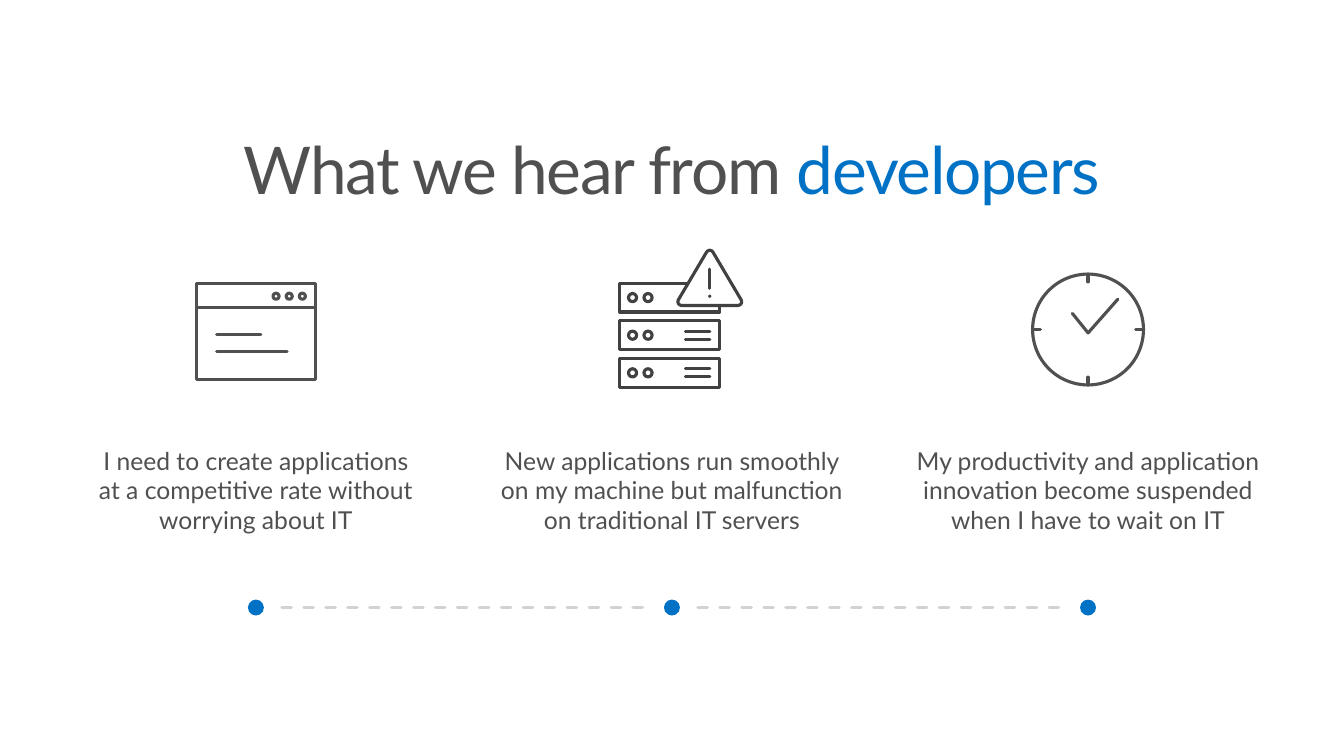
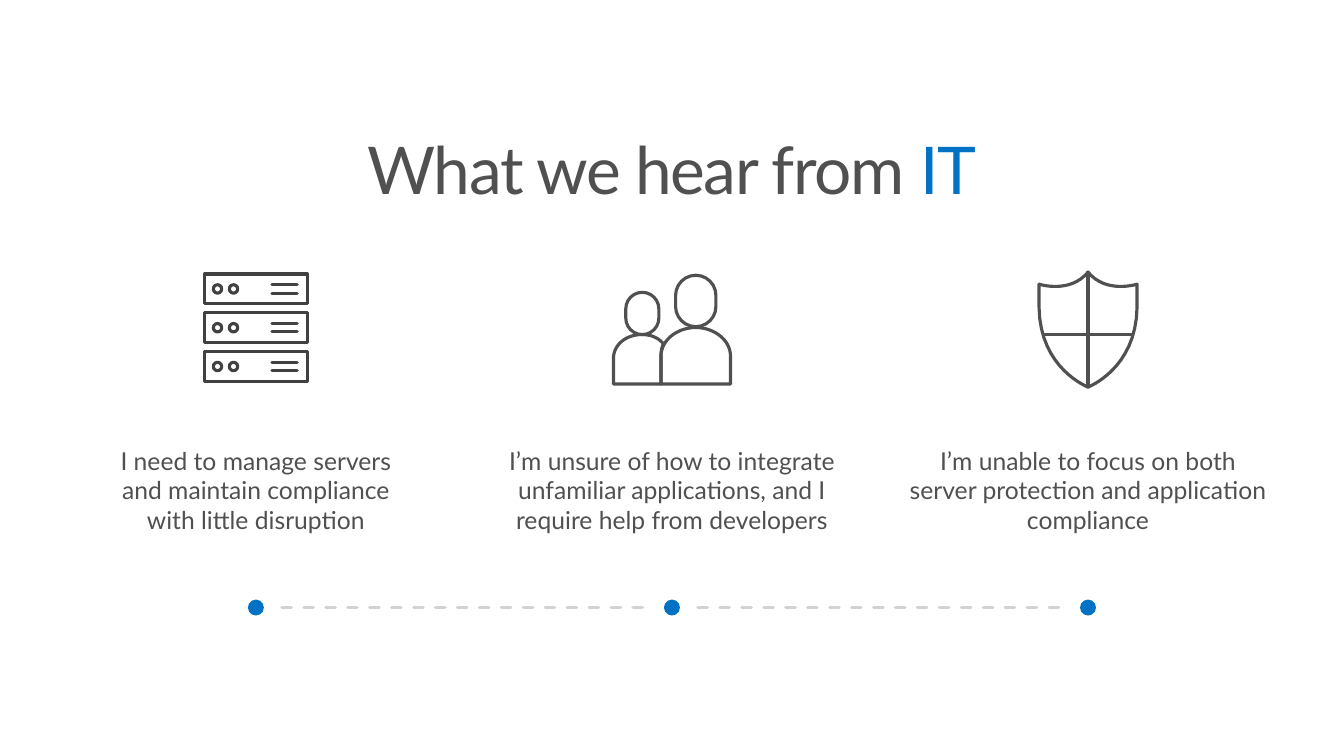
from dataclasses import dataclass
from math import cos, pi, sin
from typing import Callable, Optional

from pptx import Presentation
from pptx.dml.color import RGBColor
from pptx.enum.dml import MSO_LINE
from pptx.enum.shapes import MSO_CONNECTOR, MSO_SHAPE
from pptx.enum.text import PP_ALIGN
from pptx.oxml.ns import qn
from pptx.oxml.xmlchemy import OxmlElement
from pptx.presentation import Presentation as Deck
from pptx.shapes.shapetree import GroupShapes
from pptx.slide import Slide
from pptx.text.text import TextFrame
from pptx.util import Pt

Point = tuple[float, float]
Step = tuple[Point, ...]  # one point: straight line; three points: Bézier curve
Icon = Callable[[GroupShapes, float], None]


@dataclass(frozen=True)
class Theme:
    font: str = "Lato"
    title_size: float = 47
    body_size: float = 17.6
    pen: float = 2.25
    text: RGBColor = RGBColor(0x50, 0x50, 0x50)
    server: RGBColor = RGBColor(0x41, 0x41, 0x42)
    accent: RGBColor = RGBColor(0x00, 0x72, 0xC6)
    dash: RGBColor = RGBColor(0xD2, 0xD2, 0xD2)
    white: RGBColor = RGBColor(0xFF, 0xFF, 0xFF)


@dataclass(frozen=True)
class Column:
    icon: Icon
    text: str
    width: float = 280


@dataclass(frozen=True)
class Voices:
    audience: str
    columns: tuple[Column, ...]


THEME = Theme()
WIDTH, HEIGHT = 960, 540
COLUMN_PITCH = 297.2
TIMELINE_Y = 434


def column_centre(index: int) -> float:
    return WIDTH / 2 + (index - 1) * COLUMN_PITCH


def ink(shape, color: RGBColor) -> None:
    """Give a shape or connector a round-ended pen stroke."""
    shape.line.color.rgb = color
    shape.line.width = Pt(THEME.pen)
    ln = shape.element.spPr.find(qn("a:ln"))
    ln.set("cap", "rnd")
    ln.append(OxmlElement("a:round"))


def paint(shape, line: Optional[RGBColor], fill: Optional[RGBColor]) -> None:
    if fill is None:
        shape.fill.background()
    else:
        shape.fill.solid()
        shape.fill.fore_color.rgb = fill
    if line is None:
        shape.line.fill.background()
    else:
        ink(shape, line)
    shape.shadow.inherit = False


def add_preset(g: GroupShapes, kind: MSO_SHAPE, x: float, y: float, w: float, h: float,
               line: Optional[RGBColor] = THEME.text, fill: Optional[RGBColor] = None):
    shape = g.add_shape(kind, Pt(x), Pt(y), Pt(w), Pt(h))
    paint(shape, line, fill)
    return shape


def add_circle(g: GroupShapes, cx: float, cy: float, d: float,
               line: Optional[RGBColor] = THEME.text, fill: Optional[RGBColor] = None) -> None:
    add_preset(g, MSO_SHAPE.OVAL, cx - d / 2, cy - d / 2, d, d, line, fill)


def add_line(g: GroupShapes, x1: float, y1: float, x2: float, y2: float,
             color: RGBColor = THEME.text, dashed: bool = False) -> None:
    c = g.add_connector(MSO_CONNECTOR.STRAIGHT, Pt(x1), Pt(y1), Pt(x2), Pt(y2))
    if dashed:
        c.line.dash_style = MSO_LINE.DASH
    ink(c, color)
    c.element.spPr.append(OxmlElement("a:effectLst"))


def curve_points(a: Point, b: Point, c: Point, d: Point, count: int = 16) -> list[Point]:
    points = []
    for i in range(1, count + 1):
        t = i / count
        u = 1 - t
        weights = (u ** 3, 3 * u * u * t, 3 * u * t * t, t ** 3)
        x, y = (sum(k * p[axis] for k, p in zip(weights, (a, b, c, d))) for axis in (0, 1))
        points.append((x, y))
    return points


def add_outline(g: GroupShapes, cx: float, start: Point, steps: list[Step], close: bool = True,
                line: RGBColor = THEME.text, fill: Optional[RGBColor] = None) -> None:
    """Draw a path whose x values are measured from cx."""
    points = [start]
    for step in steps:
        points += step if len(step) == 1 else curve_points(points[-1], *step)
    first, *rest = [(Pt(cx + x), Pt(y)) for x, y in points]
    builder = g.build_freeform(*first)
    builder.add_line_segments(rest, close=close)
    paint(builder.convert_to_shape(), line, fill)


def draw_window(g: GroupShapes, cx: float) -> None:
    add_preset(g, MSO_SHAPE.RECTANGLE, cx - 42.5, 202.4, 85, 69)
    add_line(g, cx - 42.5, 219.6, cx + 42.5, 219.6)
    for i in range(3):
        add_circle(g, cx + 14.4 + 9.4 * i, 211.6, 4.3)
    for right, y in ((3.6, 239), (22.3, 251.2)):
        add_line(g, cx - 28, y, cx + right, y)


def draw_servers(g: GroupShapes, cx: float, top: float = 195.8, scale: float = 1) -> None:
    for i in range(3):
        y = top + 27.7 * scale * i
        middle = y + 10.6 * scale
        add_preset(g, MSO_SHAPE.RECTANGLE, cx - 36.7 * scale, y, 73.4 * scale, 21.2 * scale,
                   THEME.server)
        for x in (-27.4, -16):
            add_circle(g, cx + x * scale, middle, 6 * scale, THEME.server)
        for dy in (-3, 3):
            line_y = middle + dy * scale
            add_line(g, cx + 11.5 * scale, line_y, cx + 29.5 * scale, line_y, THEME.server)


def draw_failing_servers(g: GroupShapes, cx: float) -> None:
    draw_servers(g, cx - 1.6, 202.3, 0.97)
    alert_x = cx + 27
    add_outline(g, alert_x, (2.2, 180), [
        ((22.2, 213.8),),
        ((23.6, 216), (22.2, 218.2), (19.8, 218.2)),
        ((-19.8, 218.2),),
        ((-22.2, 218.2), (-23.6, 216), (-22.2, 213.8)),
        ((-2.2, 180),),
        ((-1, 178.4), (1, 178.4), (2.2, 180)),
    ], line=THEME.server, fill=THEME.white)
    add_line(g, alert_x, 192.2, alert_x, 206, THEME.server)
    add_circle(g, alert_x, 211.6, 2.25, None, THEME.server)


def draw_clock(g: GroupShapes, cx: float) -> None:
    cy, radius, tick = 235.4, 39.6, 5.6
    add_circle(g, cx, cy, 2 * radius)
    add_outline(g, cx, (21.2, 213.8), [((0, 237.8),), ((-11.2, 223.9),)], close=False)
    for quarter in range(4):
        dx, dy = cos(quarter * pi / 2), sin(quarter * pi / 2)
        inner = radius - tick
        add_line(g, cx + radius * dx, cy + radius * dy, cx + inner * dx, cy + inner * dy)


def draw_people(g: GroupShapes, cx: float) -> None:
    for x, y, w, h in ((-33, 208.8, 23.6, 30.2), (2.6, 196.6, 28.8, 36.7)):
        head = add_preset(g, MSO_SHAPE.ROUNDED_RECTANGLE, cx + x, y, w, h)
        head.adjustments[0] = 0.5
    add_outline(g, cx, (17, 234), [
        ((3.3, 234), (-7.8, 243.4), (-7.8, 254.2)),
        ((-7.8, 274.3),),
        ((41.8, 274.3),),
        ((41.8, 254.2),),
        ((41.8, 243.4), (30.7, 234), (17, 234)),
    ])
    add_outline(g, cx, (-7.8, 253.4), [
        ((-7.8, 250.6), (-7, 247.7), (-6.2, 245.5)),
        ((-9.8, 241.2), (-14.9, 239), (-21.4, 239)),
        ((-32.9, 239), (-41.8, 246.2), (-41.8, 256.3)),
        ((-41.8, 274.3),),
        ((-7.8, 274.3),),
    ])


def draw_shield(g: GroupShapes, cx: float) -> None:
    top, bottom = 194.4, 276.5
    add_outline(g, cx, (0, top), [
        ((13, 210.2), (35, 203), (35, 203)),
        ((35, 219.6),),
        ((34.4, 263.5), (0, bottom), (0, bottom)),
        ((0, bottom), (-34.4, 263.5), (-35, 219.6)),
        ((-35, 203),),
        ((-35, 203), (-13, 210.2), (0, top)),
    ])
    add_line(g, cx, top, cx, bottom)
    add_line(g, cx - 31, 239, cx + 31, 239)


def add_text_frame(s: Slide, cx: float, y: float, w: float, h: float,
                   inset_x: float, inset_y: float) -> TextFrame:
    tf = s.shapes.add_textbox(Pt(cx - w / 2), Pt(y), Pt(w), Pt(h)).text_frame
    tf.word_wrap = True
    tf.margin_left = tf.margin_right = Pt(inset_x)
    tf.margin_top = tf.margin_bottom = Pt(inset_y)
    p = tf.paragraphs[0]
    p.alignment = PP_ALIGN.CENTER
    p.font.name = THEME.font
    return tf


def add_title(s: Slide, audience: str) -> None:
    p = add_text_frame(s, WIDTH / 2, 91.4, 918, 70.6, 11.5, 7.2).paragraphs[0]
    p.line_spacing = 0.9
    p.font.size = Pt(THEME.title_size)
    for text, color in (("What we hear from ", THEME.text), (audience, THEME.accent)):
        r = p.add_run()
        r.text = text
        r.font.color.rgb = color
        r.font.element.set("spc", "-100") if hasattr(r.font, "element") else r._r.get_or_add_rPr().set("spc", "-100")


def add_body(s: Slide, cx: float, column: Column) -> None:
    p = add_text_frame(s, cx, 306.7, column.width, 87, 11.5, 11.5).paragraphs[0]
    p.add_run().text = column.text
    p.font.size = Pt(THEME.body_size)
    p.font.color.rgb = THEME.text


def add_timeline(s: Slide, count: int) -> None:
    g = s.shapes.add_group_shape().shapes
    gap = 18.6
    for i in range(count):
        cx = column_centre(i)
        add_circle(g, cx, TIMELINE_Y, 11.4, None, THEME.accent)
        if i < count - 1:
            add_line(g, cx + gap, TIMELINE_Y, column_centre(i + 1) - gap, TIMELINE_Y,
                     THEME.dash, dashed=True)


def add_voices_slide(prs: Deck, voices: Voices) -> None:
    s = prs.slides.add_slide(prs.slide_layouts[6])
    add_title(s, voices.audience)
    for i, column in enumerate(voices.columns):
        cx = column_centre(i)
        column.icon(s.shapes.add_group_shape().shapes, cx)
        add_body(s, cx, column)
    add_timeline(s, len(voices.columns))


SLIDES = (
    Voices("developers", (
        Column(draw_window, "I need to create applications at a competitive rate "
                            "without worrying about IT", 249),
        Column(draw_failing_servers, "New applications run smoothly on my machine "
                                     "but malfunction on traditional IT servers"),
        Column(draw_clock, "My productivity and application innovation become suspended "
                           "when I have to wait on IT"),
    )),
    Voices("IT", (
        Column(draw_servers, "I need to manage servers and maintain compliance "
                             "with little disruption", 249),
        Column(draw_people, "I’m unsure of how to integrate unfamiliar applications, "
                            "and I require help from developers"),
        Column(draw_shield, "I’m unable to focus on both server protection "
                            "and application compliance"),
    )),
)


def main() -> None:
    prs = Presentation()
    prs.slide_width, prs.slide_height = Pt(WIDTH), Pt(HEIGHT)
    for voices in SLIDES:
        add_voices_slide(prs, voices)
    prs.save("out.pptx")


if __name__ == "__main__":
    main()
